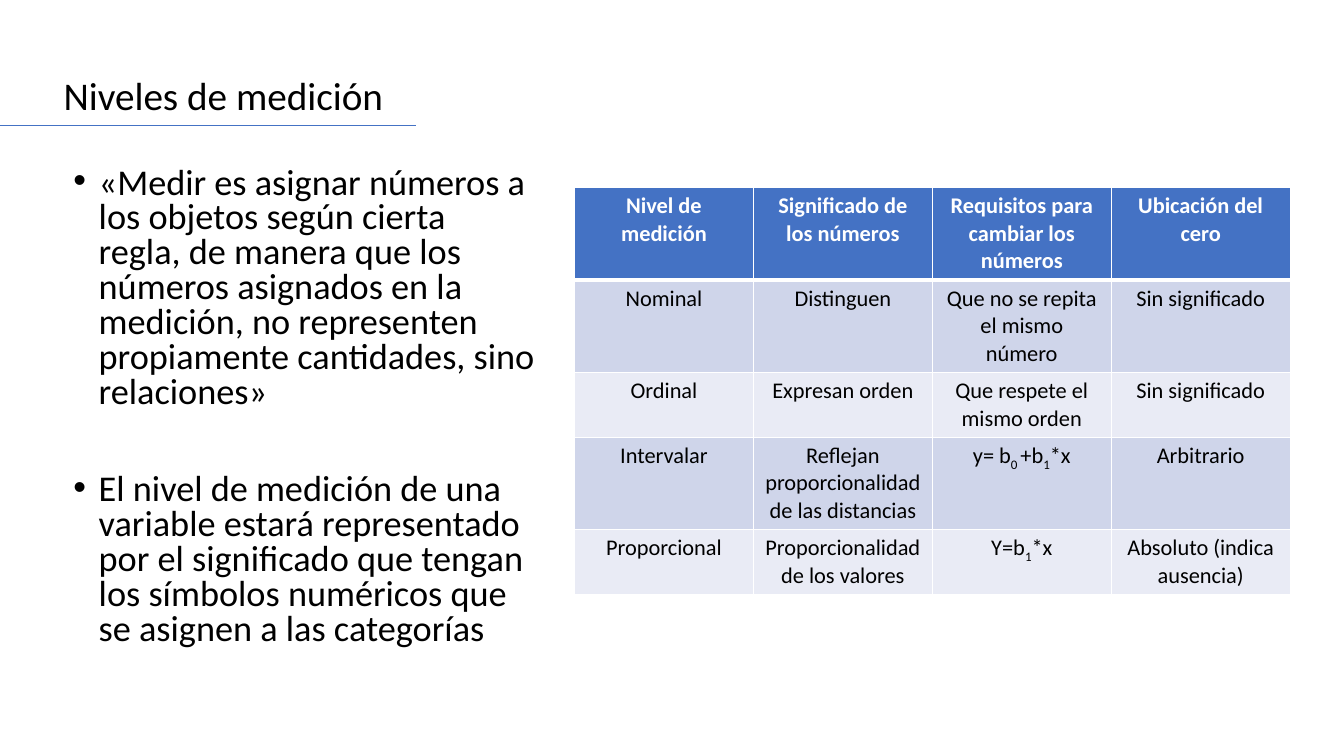
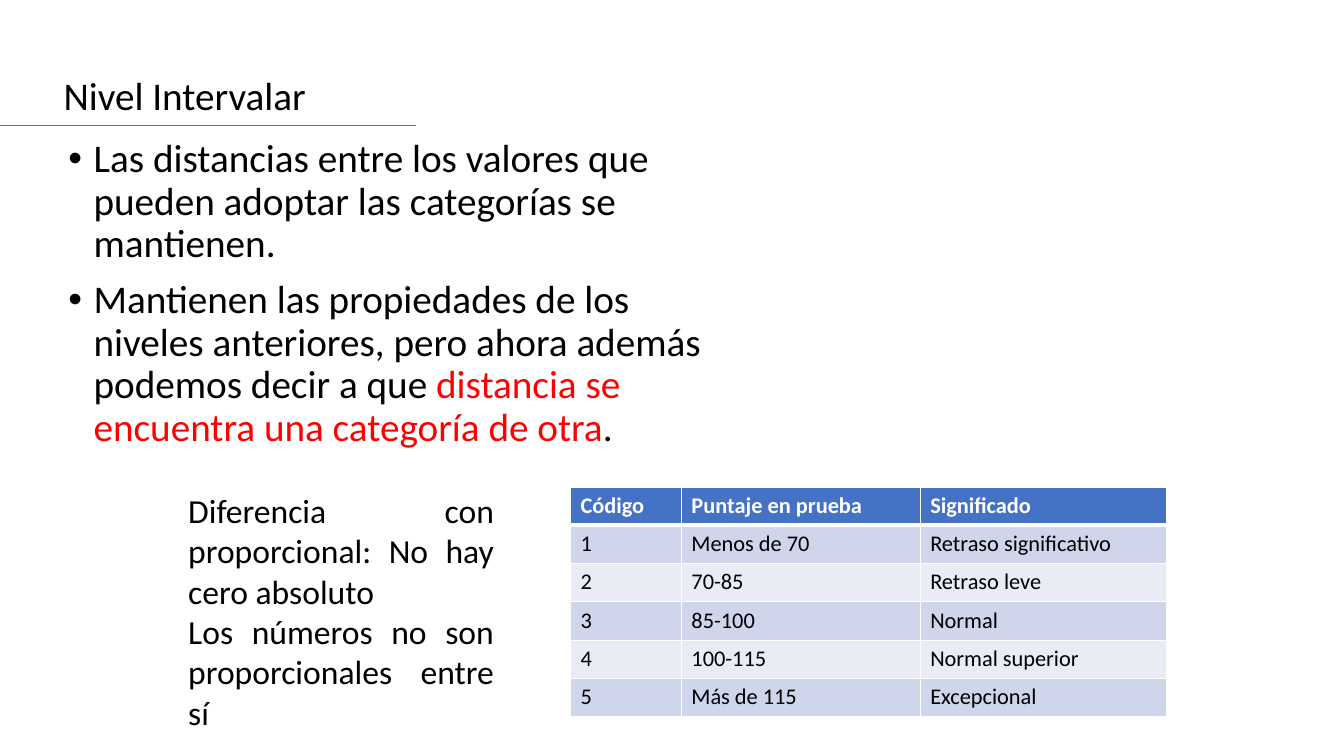
from dataclasses import dataclass

from lxml.etree import SubElement
from pptx import Presentation
from pptx.dml.color import RGBColor as RGB
from pptx.enum.shapes import MSO_CONNECTOR as CONN
from pptx.enum.text import MSO_ANCHOR as ANCHOR, MSO_AUTO_SIZE as FIT, PP_ALIGN as ALIGN
from pptx.oxml.ns import qn
from pptx.util import Pt


@dataclass(frozen=True)
class Theme:
    font: str = "Calibri"
    ink: RGB = RGB(0, 0, 0)
    white: RGB = RGB(255, 255, 255)
    red: RGB = RGB(255, 0, 0)
    blue: RGB = RGB(0x44, 0x72, 0xC4)
    bands: tuple = (RGB(0xE9, 0xEB, 0xF5), RGB(0xCF, 0xD5, 0xEA))
    title: float = 28
    body: float = 28
    dense: float = 25.9
    note: float = 24
    cell: float = 16


T = Theme()
TITLE_BOX = (38.2, 51.1, 684, 54.7)
RULE_Y, RULE_END = 89.3, 297.4


def add_runs(p, parts, size, color=T.ink, bold=False):
    for part in [parts] if isinstance(parts, str) else parts:
        text, mark = (part, None) if isinstance(part, str) else part
        r = p.add_run()
        r.text = text
        f = r.font
        f.name, f.size, f.bold = T.font, Pt(size), bold
        f.color.rgb = T.red if mark == "red" else color
        if mark == "sub":
            r._r.get_or_add_rPr().set("baseline", "-25000")


def add_title(s, text):
    sp = s.shapes.title
    sp.left, sp.top, sp.width, sp.height = map(Pt, TITLE_BOX)
    tf = sp.text_frame
    tf.auto_size, tf.vertical_anchor, tf.word_wrap = FIT.NONE, ANCHOR.TOP, True
    p = tf.paragraphs[0]
    p.alignment, p.line_spacing, p.space_before = ALIGN.JUSTIFY, 0.9, Pt(12)
    add_runs(p, text, T.title)
    rule = s.shapes.add_connector(CONN.STRAIGHT, 0, Pt(RULE_Y), Pt(RULE_END), Pt(RULE_Y))
    rule.line.color.rgb, rule.line.width = T.blue, Pt(0.5)
    SubElement(rule._element.spPr, qn("a:effectLst"))


def add_text(s, box, items, size, fit=FIT.NONE):
    tf = s.shapes.add_textbox(*map(Pt, box)).text_frame
    tf.word_wrap, tf.auto_size = True, fit
    for i, item in enumerate(items):
        p = tf.add_paragraph() if i else tf.paragraphs[0]
        add_runs(p, item, size)
    return tf.paragraphs


def add_bullets(s, box, items, size, spacing, gap):
    for i, p in enumerate(add_text(s, box, items, size)):
        p.line_spacing, p.space_before = spacing, Pt(gap if i else 10)
        pPr = p._p.get_or_add_pPr()
        pPr.set("marL", str(Pt(18)))
        pPr.set("indent", str(Pt(-18)))
        SubElement(pPr, qn("a:buFont"), typeface="Arial")
        SubElement(pPr, qn("a:buChar"), char="•")


def add_note(s, box, items):
    for p in add_text(s, box, items, T.note, FIT.SHAPE_TO_FIT_TEXT):
        p.alignment = ALIGN.JUSTIFY


def add_borders(cell, row):
    widths = {"L": 1, "R": 1, "T": 3 if row == 1 else 1, "B": 1 if row else 3}
    tcPr = cell._tc.get_or_add_tcPr()
    for side, width in widths.items():
        ln = SubElement(tcPr, qn(f"a:ln{side}"), w=str(Pt(width)))
        fill = SubElement(ln, qn("a:solidFill"))
        SubElement(fill, qn("a:srgbClr"), val=str(T.white))


def add_grid(s, left, top, cols, heights, rows, align):
    frame = s.shapes.add_table(len(rows), len(cols), Pt(left), Pt(top),
                               Pt(sum(cols)), Pt(sum(heights)))
    table = frame.table
    for col, width in zip(table.columns, cols):
        col.width = Pt(width)
    for i, (row, height) in enumerate(zip(rows, heights)):
        table.rows[i].height = Pt(height)
        for j, parts in enumerate(row):
            cell = table.cell(i, j)
            add_borders(cell, i)
            cell.fill.solid()
            cell.fill.fore_color.rgb = T.bands[i % 2] if i else T.blue
            p = cell.text_frame.paragraphs[0]
            p.alignment = align
            add_runs(p, parts, T.cell, T.ink if i else T.white, i == 0)


def levels_slide(s):
    add_title(s, "Niveles de medición")
    add_bullets(s, (45.4, 115.9, 344.2, 383.8), [
        "«Medir es asignar números a los objetos según cierta regla, de manera que los "
        "números asignados en la medición, no representen propiamente cantidades, sino "
        "relaciones»",
        "El nivel de medición de una variable estará representado por el significado que "
        "tengan los símbolos numéricos que se asignen a las categorías",
    ], T.dense, 0.8, 45)
    add_grid(s, 410.4, 133.9, [127.8] * 4, [66, 66, 46, 66, 46], [
        ("Nivel de medición", "Significado de los números",
         "Requisitos para cambiar los números", "Ubicación del cero"),
        ("Nominal", "Distinguen", "Que no se repita el mismo número", "Sin significado"),
        ("Ordinal", "Expresan orden", "Que respete el mismo orden", "Sin significado"),
        ("Intervalar", "Reflejan proporcionalidad de las distancias",
         ["y= b", ("0 ", "sub"), "+b", ("1", "sub"), "*x"], "Arbitrario"),
        ("Proporcional", "Proporcionalidad de los valores",
         ["Y=b", ("1", "sub"), "*x"], "Absoluto (indica ausencia)"),
    ], ALIGN.CENTER)


def interval_slide(s):
    add_title(s, "Nivel Intervalar")
    add_bullets(s, (41.8, 95.8, 471.6, 249.1), [
        "Las distancias entre los valores que pueden adoptar las categorías se mantienen.",
        ["Mantienen las propiedades de los niveles anteriores, pero ahora además podemos "
         "decir a que ", ("distancia se encuentra una categoría de otra", "red"), "."],
    ], T.body, 0.9, 10)
    add_grid(s, 407.5, 347.8, [79.2, 170.6, 175.7], [27.36] * 6, [
        ("Código", "Puntaje en prueba", "Significado"),
        ("1", "Menos de 70", "Retraso significativo"),
        ("2", "70-85", "Retraso leve"),
        ("3", "85-100", "Normal"),
        ("4", "100-115", "Normal superior"),
        ("5", "Más de 115", "Excepcional"),
    ], ALIGN.LEFT)
    add_note(s, (127.4, 346.3, 232.6, 181.4), [
        "Diferencia con proporcional: No hay cero absoluto",
        "Los números no son proporcionales entre sí",
    ])


def main():
    prs = Presentation()
    prs.slide_width, prs.slide_height = Pt(960), Pt(540)
    for build in (levels_slide, interval_slide):
        build(prs.slides.add_slide(prs.slide_layouts[5]))
    prs.save("out.pptx")


if __name__ == "__main__":
    main()
